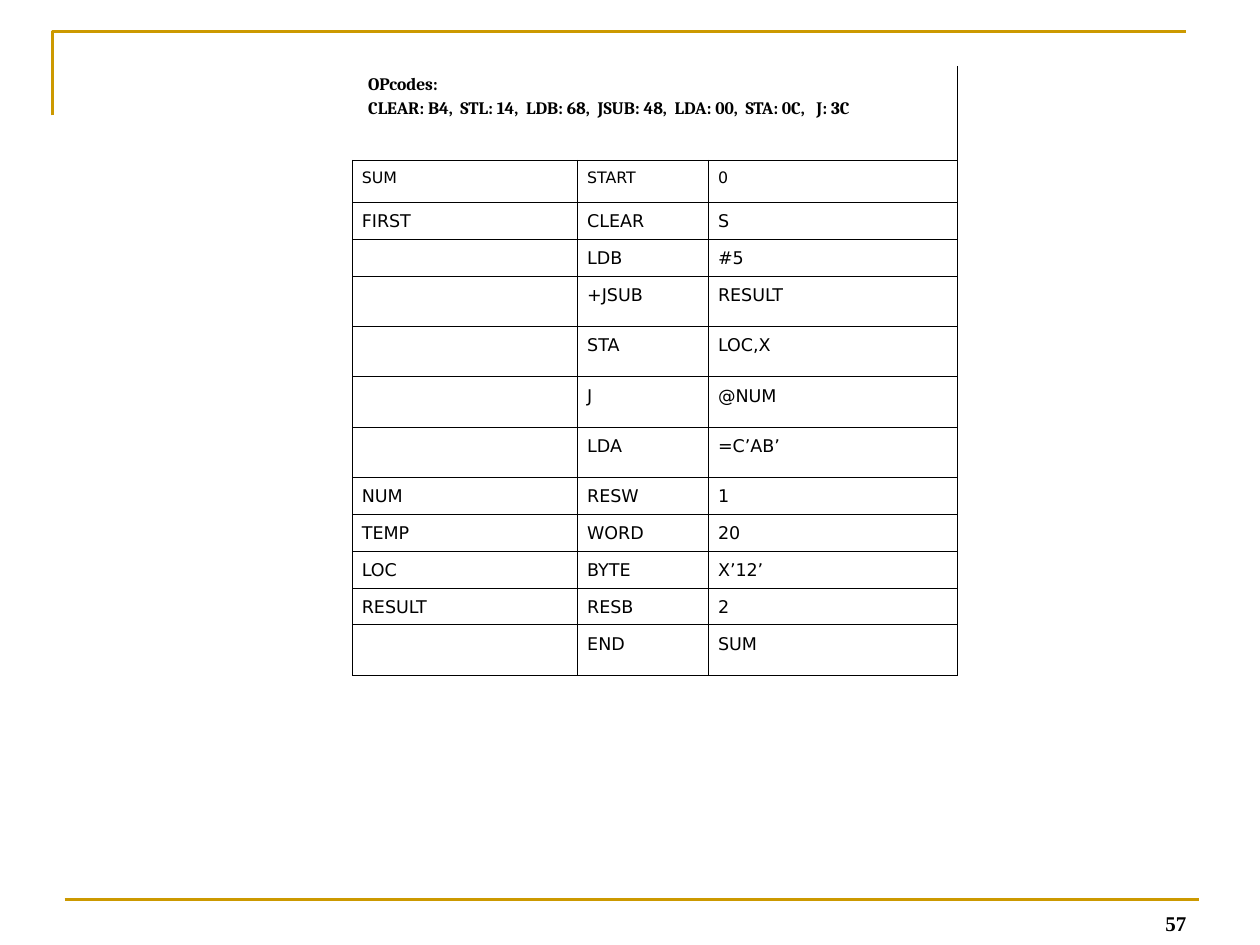
from dataclasses import dataclass

from lxml import etree
from pptx import Presentation
from pptx.dml.color import RGBColor
from pptx.enum.shapes import MSO_CONNECTOR
from pptx.enum.text import MSO_ANCHOR, PP_ALIGN
from pptx.oxml.ns import qn
from pptx.util import Pt

STRAIGHT = MSO_CONNECTOR.STRAIGHT
BOTTOM = MSO_ANCHOR.BOTTOM
RIGHT = PP_ALIGN.RIGHT
BLANK_LAYOUT = 6


@dataclass(frozen=True)
class Theme:
    gold: RGBColor = RGBColor(0xCC, 0x99, 0x00)
    black: RGBColor = RGBColor(0, 0, 0)
    rule_width: float = 1.5
    border_width: float = 0.45
    heading_font: str = "Cambria"
    code_font: str = "DejaVu Sans"
    number_font: str = "Times New Roman"
    start_size: int = 9
    code_size: int = 10
    number_size: int = 12
    line_spacing: float = 1.15


THEME = Theme()

OPCODES = [
    "OPcodes:",
    "CLEAR: B4,  STL: 14,  LDB: 68,  JSUB: 48,  LDA: 00,  STA: 0C,   J: 3C",
]
HEADING_HEIGHT, START_HEIGHT, SHORT, TALL = 54, 24, 21, 28.8
COLUMN_WIDTHS = [128.8, 74.8, 142.4]
PROGRAM = [
    (START_HEIGHT, "SUM", "START", "0"),
    (SHORT, "FIRST", "CLEAR", "S"),
    (SHORT, "", "LDB", "#5"),
    (TALL, "", "+JSUB", "RESULT"),
    (TALL, "", "STA", "LOC,X"),
    (TALL, "", "J", "@NUM"),
    (TALL, "", "LDA", "=C’AB’"),
    (SHORT, "NUM", "RESW", "1"),
    (SHORT, "TEMP", "WORD", "20"),
    (SHORT, "LOC", "BYTE", "X’12’"),
    (SHORT, "RESULT", "RESB", "2"),
    (TALL, "", "END", "SUM"),
]


def style_rule(rule):
    rule.line.color.rgb = THEME.gold
    rule.line.width = Pt(THEME.rule_width)


def add_corner_rule(slide):
    left, top, right, bottom = 30, 18, 678, 66
    builder = slide.shapes.build_freeform(Pt(left), Pt(bottom))
    builder.add_line_segments(
        [(Pt(left), Pt(top)), (Pt(right), Pt(top))], close=False)
    corner = builder.convert_to_shape()
    corner.shadow.inherit = False
    corner.fill.background()
    style_rule(corner)


def add_footer_rule(slide):
    rule = slide.shapes.add_connector(
        STRAIGHT, Pt(37), Pt(514), Pt(685), Pt(514))
    style_rule(rule)
    etree.SubElement(rule._element.spPr, qn("a:effectLst"))


def write(paragraph, text, font_name, size, bold=False):
    run = paragraph.add_run()
    run.text = text
    style = {"name": font_name, "size": Pt(size), "bold": bold}
    for attribute, value in style.items():
        setattr(run.font, attribute, value)
    run.font.color.rgb = THEME.black


def add_slide_number(slide, number):
    frame = slide.shapes.add_textbox(
        Pt(517), Pt(512), Pt(168), Pt(26)).text_frame
    frame.word_wrap = True
    frame.vertical_anchor = BOTTOM
    paragraph = frame.paragraphs[0]
    paragraph.alignment = RIGHT
    write(paragraph, number, THEME.number_font, THEME.number_size, bold=True)


def format_cell(cell, side_margin, ruled_sides):
    """Rule the named sides (of L, R, T, B), clear the others and the fill."""
    cell.margin_left = cell.margin_right = Pt(side_margin)
    properties = cell._tc.get_or_add_tcPr()
    for side in "LRTB":
        border = etree.SubElement(
            properties, qn(f"a:ln{side}"), w=str(Pt(THEME.border_width)))
        if side in ruled_sides:
            fill = etree.SubElement(border, qn("a:solidFill"))
            etree.SubElement(fill, qn("a:srgbClr"), val=str(THEME.black))
        else:
            etree.SubElement(border, qn("a:noFill"))
    cell.fill.background()


def fill_heading(table):
    heading = table.cell(0, 0)
    heading.merge(table.cell(0, len(COLUMN_WIDTHS) - 1))
    for cell in table.rows[0].cells:
        format_cell(cell, 9, "RB")
    frame = heading.text_frame
    for index, text in enumerate(OPCODES):
        paragraph = frame.add_paragraph() if index else frame.paragraphs[0]
        paragraph.line_spacing = THEME.line_spacing
        write(paragraph, text, THEME.heading_font, THEME.code_size, bold=True)


def fill_code_cell(cell, text, size):
    format_cell(cell, 5.4, "LRTB")
    paragraph = cell.text_frame.paragraphs[0]
    if text:
        paragraph.line_spacing = THEME.line_spacing
        write(paragraph, text, THEME.code_font, size)
    else:
        # Keeps an empty cell from growing to the default text size
        etree.SubElement(
            paragraph._p, qn("a:endParaRPr"), sz=str(size * 100))


def add_program_table(slide):
    heights = [HEADING_HEIGHT] + [height for height, *_ in PROGRAM]
    table = slide.shapes.add_table(
        len(heights), len(COLUMN_WIDTHS), Pt(201.4), Pt(37.6),
        Pt(sum(COLUMN_WIDTHS)), Pt(sum(heights))).table
    table.first_row = table.horz_banding = False
    for column, width in zip(table.columns, COLUMN_WIDTHS):
        column.width = Pt(width)
    for row, height in zip(table.rows, heights):
        row.height = Pt(height)
    fill_heading(table)
    for row_index, (_, *fields) in enumerate(PROGRAM, start=1):
        size = THEME.start_size if row_index == 1 else THEME.code_size
        for column_index, text in enumerate(fields):
            fill_code_cell(table.cell(row_index, column_index), text, size)


def main():
    presentation = Presentation()
    presentation.slide_width, presentation.slide_height = Pt(720), Pt(540)
    slide = presentation.slides.add_slide(
        presentation.slide_layouts[BLANK_LAYOUT])
    add_corner_rule(slide)
    add_footer_rule(slide)
    add_slide_number(slide, "57")
    add_program_table(slide)
    presentation.save("out.pptx")


if __name__ == "__main__":
    main()
